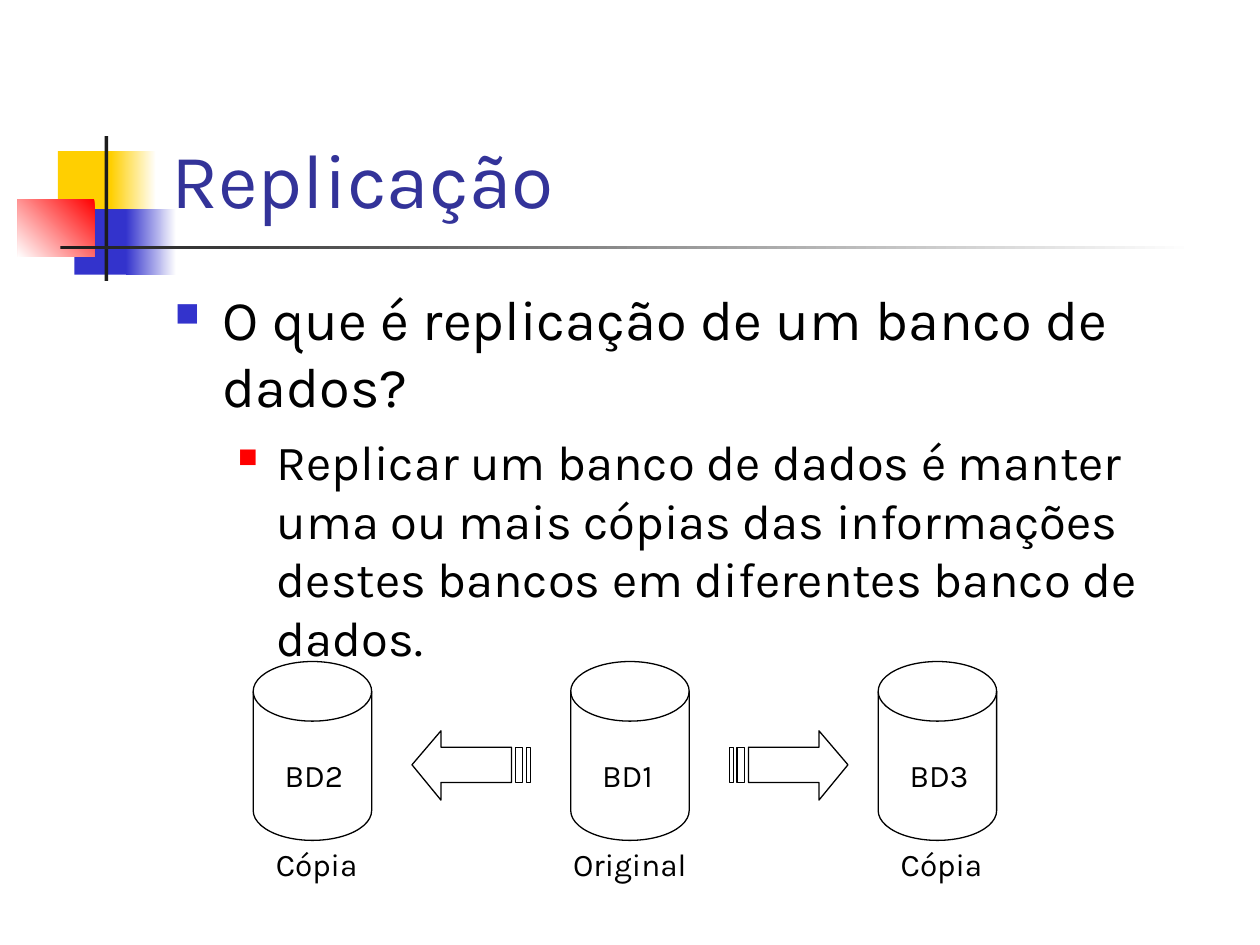
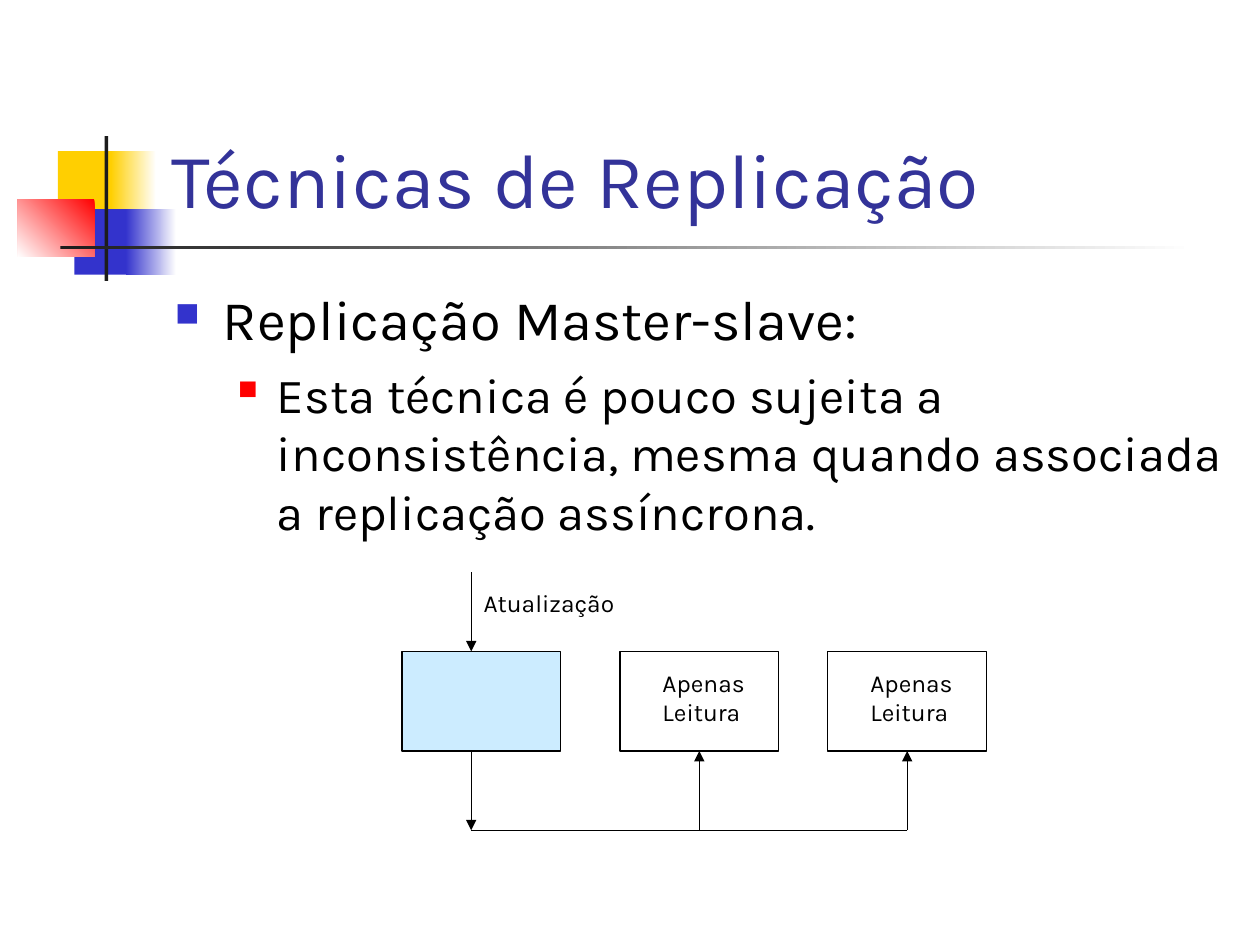
from lxml import etree
from pptx import Presentation
from pptx.dml.color import RGBColor
from pptx.enum.shapes import MSO_CONNECTOR, MSO_SHAPE
from pptx.enum.text import MSO_ANCHOR
from pptx.oxml.ns import qn
from pptx.util import Pt

PX = 9144
FONT = "Karla"
RECT = MSO_SHAPE.RECTANGLE
DISK = MSO_SHAPE.FLOWCHART_MAGNETIC_DISK
LINE = MSO_CONNECTOR.STRAIGHT
TOP, BASE = MSO_ANCHOR.TOP, MSO_ANCHOR.BOTTOM

WHITE = RGBColor(0xFF, 0xFF, 0xFF)
BLACK = RGBColor(0x00, 0x00, 0x00)
INK = RGBColor(0x1C, 0x1C, 0x1C)
GOLD = RGBColor(0xFF, 0xCF, 0x01)
BLUE = RGBColor(0x33, 0x33, 0xCC)
RED = RGBColor(0xFF, 0x00, 0x00)
NAVY = RGBColor(0x33, 0x33, 0x99)
SKY = RGBColor(0xCC, 0xEC, 0xFF)

DECOR = [
    ((46, 120, 48, 52), GOLD, None),
    ((88, 120, 36, 52), GOLD, 0),
    ((59, 166, 46, 52), BLUE, None),
    ((100, 166, 40, 52), BLUE, 0),
    ((14, 158, 61, 46), RED, 225),
    ((83, 108, 3, 115), INK, None),
    ((48, 195, 900, 3), INK, 0),
]
LEVELS = [
    dict(size=32, bullet=(BLUE, 60), left=38, hang=38),
    dict(size=28, bullet=(RED, 55), left=81, hang=31, before=7),
]
ARROW = [
    [(15, 13), (71, 13), (71, 0), (94, 27), (71, 55), (71, 41), (15, 41)],
    [(0, 13), (3, 13), (3, 41), (0, 41)],
    [(6, 13), (12, 13), (12, 41), (6, 41)],
]


def emu(*sizes):
    """Turn px lengths into EMU."""
    return [size * PX for size in sizes]


def mark(para, color, pct, left, hang):
    """Give a paragraph a square bullet and its indent."""
    props = para._p.get_or_add_pPr()
    props.set("marL", str(left * PX))
    props.set("indent", str(-hang * PX))
    tint = etree.SubElement(props, qn("a:buClr"))
    etree.SubElement(tint, qn("a:srgbClr"), val=str(color))
    etree.SubElement(props, qn("a:buSzPct"), val=str(pct * 1000))
    etree.SubElement(props, qn("a:buChar"), char="■")


def write(para, words, size=18, color=BLACK, bullet=None, left=0, hang=0, before=0):
    """Write formatted text into a paragraph."""
    if bullet:
        mark(para, *bullet, left, hang)
    para.space_before = Pt(before)
    run = para.add_run()
    run.text = words
    run.font.name = FONT
    run.font.size = Pt(size)
    run.font.color.rgb = color


def frame(slide, box, anchor=TOP):
    """Add a wrapping text box and return its frame."""
    area = slide.shapes.add_textbox(*emu(*box)).text_frame
    area.word_wrap = True
    area.vertical_anchor = anchor
    return area


def label(slide, box, words, **style):
    """Add a text box of one paragraph."""
    write(frame(slide, box, style.pop("anchor", TOP)).paragraphs[0], words, **style)


def trim(shape, fill=None):
    """Set a thin black outline and an optional fill."""
    shape.shadow.inherit = False
    shape.line.color.rgb = BLACK
    shape.line.width = Pt(0.75)
    if fill is None:
        shape.fill.background()
    else:
        shape.fill.solid()
        shape.fill.fore_color.rgb = fill


def block(slide, kind, box, fill=None):
    """Add an outlined preset shape."""
    trim(slide.shapes.add_shape(kind, *emu(*box)), fill)


def band(slide, box, color, angle):
    """Add a plain or fading strip of the slide decor."""
    shape = slide.shapes.add_shape(RECT, *emu(*box))
    shape.shadow.inherit = False
    shape.line.fill.background()
    if angle is None:
        shape.fill.solid()
        shape.fill.fore_color.rgb = color
    else:
        shape.fill.gradient()
        shape.fill.gradient_angle = angle
        for stop, tone in zip(shape.fill.gradient_stops, (color, WHITE)):
            stop.color.rgb = tone


def link(slide, start, end, head=True):
    """Add a line, with an arrowhead at its end if wanted."""
    wire = slide.shapes.add_connector(LINE, *emu(*start, *end))
    wire.line.color.rgb = BLACK
    wire.line.width = Pt(0.75)
    if head:
        etree.SubElement(wire.line._get_or_add_ln(), qn("a:tailEnd"), type="triangle")
    etree.SubElement(wire._element.spPr, qn("a:effectLst"))


def arrow(slide, tail, top, way):
    """Add a striped arrow that points right (1) or left (-1)."""
    parts = [[(tail + way * x, top + y) for x, y in part] for part in ARROW]
    pen = slide.shapes.build_freeform(*parts[0][0], scale=PX)
    for part in parts:
        pen.move_to(*part[0])
        pen.add_line_segments(part[1:], close=True)
    trim(pen.convert_to_shape())


def page(deck, title, *points):
    """Add a slide with decor, title and bullets."""
    slide = deck.slides.add_slide(deck.slide_layouts[6])
    for strip in DECOR:
        band(slide, *strip)
    label(slide, (126, 23, 852, 160), title, size=44, color=NAVY, anchor=BASE)
    body = frame(slide, (129, 221, 850, 450))
    for level, (words, style) in enumerate(zip(points, LEVELS)):
        para = body.add_paragraph() if level else body.paragraphs[0]
        para.level = level
        write(para, words, **style)
    return slide


def copies(deck):
    """Build the slide on what replication is."""
    slide = page(
        deck,
        "Replicação",
        "O que é replicação de um banco de dados?",
        "Replicar um banco de dados é manter uma ou mais cópias das informações "
        "destes bancos em diferentes banco de dados.",
    )
    disks = [
        (201, "BD2", 209, "Cópia"),
        (453, "BD1", 445, "Original"),
        (697, "BD3", 705, "Cópia"),
    ]
    for left, name, edge, role in disks:
        block(slide, DISK, (left, 525, 94, 142))
        label(slide, (left + 15, 595, 71, 40), name)
        label(slide, (edge, 666, 112, 40), role)
    arrow(slide, 579, 580, 1)
    arrow(slide, 421, 580, -1)


def master(deck):
    """Build the slide on master-slave replication."""
    slide = page(
        deck,
        "Técnicas de Replicação",
        "Replicação Master-slave:",
        "Esta técnica é pouco sujeita a inconsistência, mesma quando "
        "associada a replicação assíncrona.",
    )
    feed, top, foot, bus = 374, 517, 596, 659
    wide, high = 126, foot - top
    block(slide, RECT, (319, top, wide, high), SKY)
    link(slide, (feed, 454), (feed, top))
    label(slide, (feed, 462, 134, 34), "Atualização", size=14)
    link(slide, (feed, foot), (feed, bus))
    link(slide, (feed, bus), (720, bus), head=False)
    for left in (492, 657):
        mid = left + wide // 2
        block(slide, RECT, (left, top, wide, high))
        label(slide, (left + 24, 525, 87, 80), "Apenas Leitura", size=14)
        link(slide, (mid, bus), (mid, foot))


def main():
    """Build and save the deck."""
    deck = Presentation()
    deck.slide_width, deck.slide_height = emu(1000, 750)
    copies(deck)
    master(deck)
    deck.save("out.pptx")


if __name__ == "__main__":
    main()
